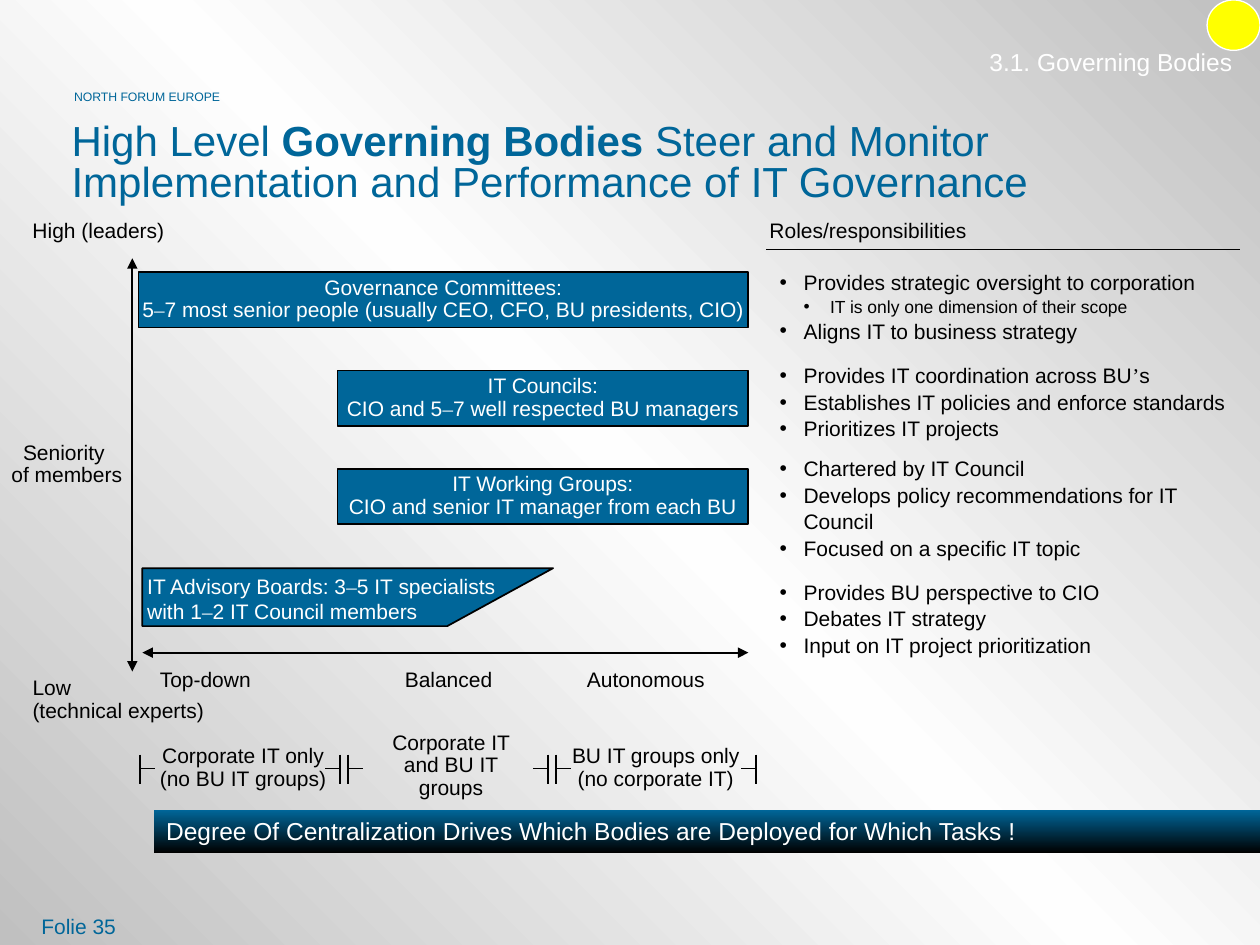
"""Build a slide on IT governing bodies, their seniority, centralization and roles."""
import copy
import itertools

import lxml.etree
import pptx
import pptx.dml.color
import pptx.enum.shapes
import pptx.enum.text
import pptx.oxml.ns
import pptx.util

COLORS = {"blue": "006699", "black": "000000", "white": "FFFFFF",
          "yellow": "FFFF00", "silver": "C0C0C0", "light": "FEFEFE"}
RGB = {name: pptx.dml.color.RGBColor.from_string(code) for name, code in COLORS.items()}
ALIGN = pptx.enum.text.PP_ALIGN
ANCHOR = pptx.enum.text.MSO_ANCHOR
PRESET = pptx.enum.shapes.MSO_SHAPE
qn = pptx.oxml.ns.qn

deck = pptx.Presentation()
deck.slide_width = pptx.util.Inches(10)
deck.slide_height = pptx.util.Inches(7.5)
slide = deck.slides.add_slide(deck.slide_layouts[6])
shapes = slide.shapes
col = deck.slide_width / 100
row = deck.slide_height / 75


def write(text, area, size=12, color="black", align=ALIGN.LEFT, anchor=ANCHOR.TOP,
          wrap=False, spacing=1.0, fill=None, border=None, bullets=False):
    left, top, width, height = area
    spot = [round(v) for v in (left * col, top * row, width * col, height * row)]
    if fill:
        host = shapes.add_shape(PRESET.RECTANGLE, *spot)
        host.shadow.inherit = False
        host.fill.solid()
        host.fill.fore_color.rgb = RGB[fill]
        if border:
            host.line.color.rgb = RGB[border]
            host.line.width = pptx.util.Pt(1)
        else:
            host.line.fill.background()
    else:
        host = shapes.add_textbox(*spot)
    frame = host.text_frame
    frame.word_wrap = wrap
    if not fill and not wrap:
        frame.auto_size = pptx.enum.text.MSO_AUTO_SIZE.SHAPE_TO_FIT_TEXT
    frame.vertical_anchor = anchor
    for index, line in enumerate(text.split("\n")):
        paragraph = frame.paragraphs[0] if index == 0 else frame.add_paragraph()
        paragraph.alignment = align
        paragraph.line_spacing = spacing
        nested = line.startswith("\t")
        if bullets:
            paragraph.level = 2 if nested else 1
            props = paragraph._p.get_or_add_pPr()
            margin, indent = (0.41, -0.21) if nested else (0.2, -0.19)
            props.set("marL", str(pptx.util.Inches(margin)))
            props.set("indent", str(pptx.util.Inches(indent)))
            tint = lxml.etree.SubElement(props, qn("a:buClr"))
            lxml.etree.SubElement(tint, qn("a:srgbClr"), val=COLORS["black"])
            lxml.etree.SubElement(props, qn("a:buFont"), typeface="Arial")
            lxml.etree.SubElement(props, qn("a:buChar"), char="•")
        points = size - 2 if nested else size
        for part, chunk in enumerate(line.strip("\t").split("*")):
            for kind, letters in itertools.groupby(chunk, lambda c: c if c in "–’\v" else ""):
                if kind == "\v":
                    paragraph.add_line_break()
                    lxml.etree.SubElement(paragraph._p[-1], qn("a:rPr"), sz=str(points * 100))
                    continue
                run = paragraph.add_run()
                run.text = "".join(letters)
                run.font.name = "Times New Roman" if kind else "Arial"
                run.font.size = pptx.util.Pt(points)
                run.font.bold = part % 2 == 1
                run.font.color.rgb = RGB[color]
    return host


def draw_line(x1, y1, x2, y2, arrows=False):
    line = shapes.add_connector(
        pptx.enum.shapes.MSO_CONNECTOR.STRAIGHT,
        round(x1 * col), round(y1 * row), round(x2 * col), round(y2 * row))
    line.line.color.rgb = RGB["black"]
    line.line.width = pptx.util.Pt(1)
    if arrows:
        for end in ("a:headEnd", "a:tailEnd"):
            lxml.etree.SubElement(line.line._get_or_add_ln(), qn(end), type="triangle")
    lxml.etree.SubElement(line._element.spPr, qn("a:effectLst"))


write("NORTH FORUM EUROPE", (4.9, 6.6, 14, 2.2), size=7, color="blue")
write("Folie 35", (2.3, 69.8, 23.3, 5.2), color="blue", anchor=ANCHOR.BOTTOM, wrap=True)
write("3.1. Governing Bodies", (31.7, 3.2, 67.1, 5.2), size=14, color="white",
      align=ALIGN.RIGHT, wrap=True)
write("High Level *Governing Bodies* Steer and Monitor \v"
      "Implementation and Performance of IT Governance",
      (4.7, 7.6, 93, 11), size=24, color="blue", anchor=ANCHOR.MIDDLE, wrap=True, spacing=0.8)

axis_labels = [
    ("High (leaders)", (1.6, 17, 12.7, 2.8), ALIGN.LEFT),
    ("Low \v(technical experts)", (1.6, 53.3, 15.8, 4.6), ALIGN.LEFT),
    ("Seniority \vof members", (-0.1, 34.6, 10.8, 4.6), ALIGN.CENTER),
    ("Top-down", (11.7, 52.6, 9.5, 2.8), ALIGN.LEFT),
    ("Balanced", (30.9, 52.6, 9.4, 2.8), ALIGN.CENTER),
    ("Autonomous", (45.6, 52.6, 11.6, 2.8), ALIGN.LEFT),
    ("Corporate IT only\n(no BU IT groups)", (11.6, 58.7, 15.4, 4.6), ALIGN.CENTER),
    ("BU IT groups only\n(no corporate IT)", (44.3, 58.7, 15.5, 4.6), ALIGN.CENTER),
    ("Roles/responsibilities", (59.9, 17, 18, 2.8), ALIGN.CENTER),
]
for label, area, align in axis_labels:
    write(label, area, align=align, spacing=0.9)
write("Corporate IT and BU IT groups", (29.5, 57.6, 12.6, 6.4),
      align=ALIGN.CENTER, wrap=True, spacing=0.9)

for span in range(3):
    opening = 11.1 + span * 16.5
    closing = opening + 15.9
    for edge, tick in ((opening, 1.2), (closing, -1.2)):
        draw_line(edge, 61, edge + tick, 61)
        draw_line(edge, 59.9, edge, 62.2)

draw_line(10.5, 20.5, 10.5, 53.3, arrows=True)
draw_line(11.3, 51.8, 59.4, 51.8, arrows=True)
draw_line(60.8, 19.8, 98.4, 19.8)

bodies = [
    ("Governance Committees:\n5–7 most senior people (usually CEO, CFO, BU presidents, CIO)", 11),
    ("IT Councils:\nCIO and 5–7 well respected BU managers", 26.8),
    ("IT Working Groups:\nCIO and senior IT manager from each BU", 26.8),
]
for level, (body, left) in enumerate(bodies):
    write(body, (left, 21.6 + level * 7.8, 59.4 - left, 4.4), color="white",
          align=ALIGN.CENTER, anchor=ANCHOR.MIDDLE, spacing=0.9, fill="blue", border="black")

corners = [(round(x * col), round(y * row))
           for x, y in ((11.3, 45.1), (11.3, 49.7), (35.5, 49.7), (43.9, 45.1))]
outline = shapes.build_freeform(*corners[0])
outline.add_line_segments(corners[1:], close=True)
advisory = outline.convert_to_shape()
advisory.shadow.inherit = False
advisory.fill.solid()
advisory.fill.fore_color.rgb = RGB["blue"]
advisory.line.color.rgb = RGB["black"]
advisory.line.width = pptx.util.Pt(1)
write("IT Advisory Boards: 3–5 IT specialists\nwith 1–2 IT Council members",
      (10.7, 45, 29.8, 5), color="white")

roles = [
    (20.8, 6.9, "Provides strategic oversight to corporation\n"
                "\tIT is only one dimension of their scope\n"
                "Aligns IT to business strategy"),
    (28.2, 7.3, "Provides IT coordination across BU’s\n"
                "Establishes IT policies and enforce standards\n"
                "Prioritizes IT projects"),
    (35.6, 9.4, "Chartered by IT Council\n"
                "Develops policy recommendations for IT Council\n"
                "Focused on a specific IT topic"),
    (45.4, 7.3, "Provides BU perspective to CIO\n"
                "Debates IT strategy\n"
                "Input on IT project prioritization"),
]
for top, height, duties in roles:
    write(duties, (60.8, top, 37.6, height), wrap=True, spacing=1.05, bullets=True)

conclusion = write("Degree Of Centralization Drives Which Bodies are Deployed for Which Tasks !",
                   (12.2, 64.3, 87.8, 3.4), size=14, color="white", wrap=True, fill="blue")
gradients = [
    (slide.background.fill, slide.element, 315, ("silver", "light", "silver")),
    (conclusion.fill, conclusion._element, 90, ("blue", "black")),
]
for fill, owner, clockwise, tones in gradients:
    fill.gradient()
    fill.gradient_angle = 360 - clockwise
    stops = owner.find(".//" + qn("a:gsLst"))
    while len(stops) < len(tones):
        stops.append(copy.deepcopy(stops[0]))
    for order, (stop, tone) in enumerate(zip(fill.gradient_stops, tones)):
        stop.position = order / (len(tones) - 1)
        stop.color.rgb = RGB[tone]

marker = shapes.add_shape(PRESET.OVAL, round(95.8 * col), 0, round(4.2 * col), round(4 * row))
marker.shadow.inherit = False
marker.fill.solid()
marker.fill.fore_color.rgb = RGB["yellow"]
marker.line.color.rgb = RGB["white"]
marker.line.width = pptx.util.Pt(0.75)

deck.save("out.pptx")
